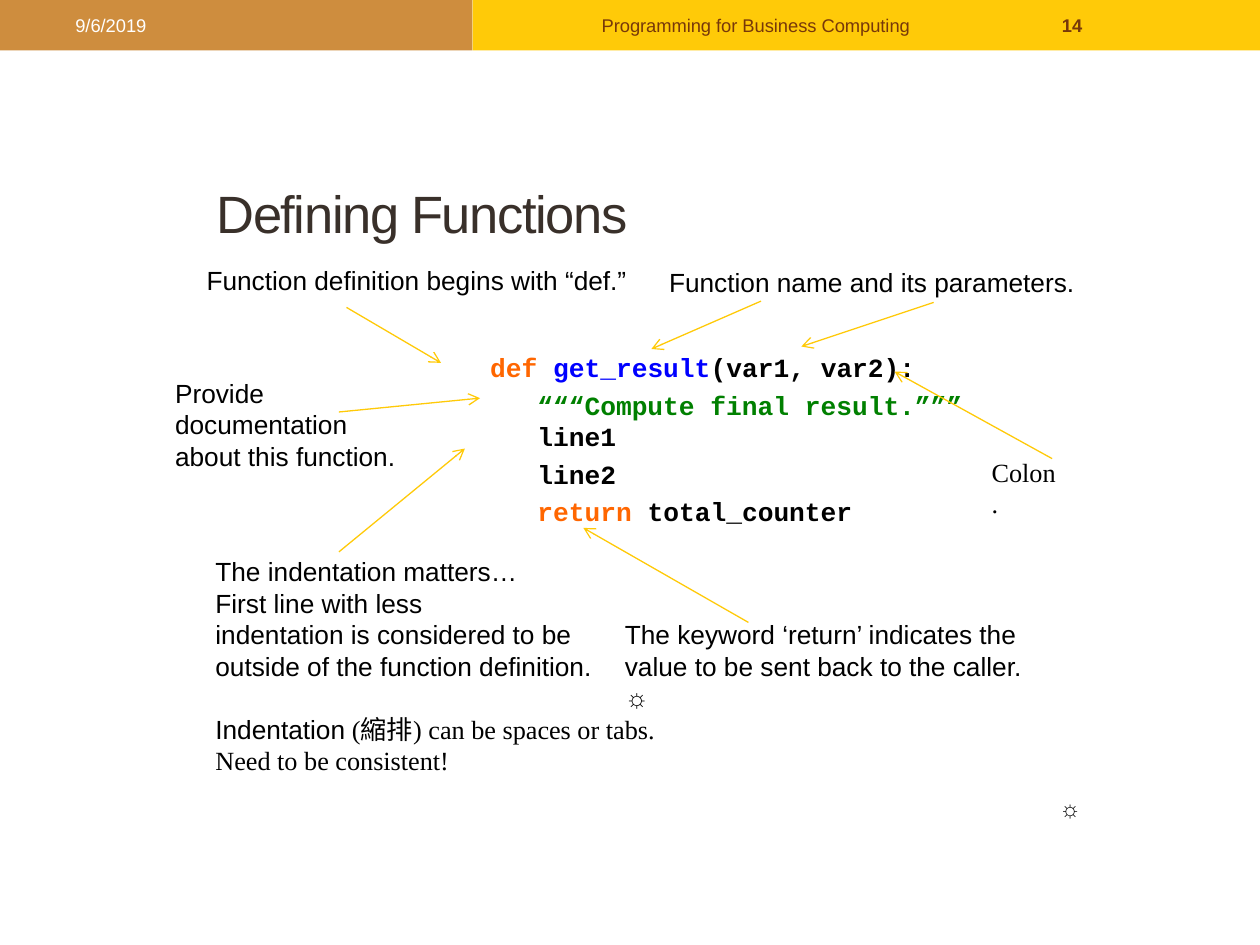
from dataclasses import dataclass

from lxml.etree import SubElement
from pptx import Presentation
from pptx.dml.color import RGBColor
from pptx.enum.shapes import MSO_CONNECTOR, MSO_SHAPE
from pptx.enum.text import MSO_ANCHOR, MSO_AUTO_SIZE, PP_ALIGN
from pptx.oxml.ns import qn
from pptx.util import Inches, Pt


@dataclass(frozen=True)
class Theme:
    gold: str = "FFCA08"
    tan: str = "CE8D3E"
    white: str = "FFFFFF"
    black: str = "000000"
    dark: str = "39302A"
    brown: str = "77380A"
    orange: str = "FF6600"
    blue: str = "0000FF"
    green: str = "008000"
    title: float = 30
    body: float = 15
    mark: float = 13.5
    foot: float = 10.5
    sans: str = "Arial"
    serif: str = "Times New Roman"
    mono: str = "Courier New"


T = Theme()
NOTE = dict(name=T.sans, size=T.body, color=T.black)
SERIF = {**NOTE, "name": T.serif}
MARK = {**SERIF, "bold": True}
FOOT = dict(name=T.sans, size=T.foot, color=T.brown)
CODE = dict(name=T.mono, size=T.body, color=T.black, bold=True)
KEY = {**CODE, "color": T.orange}
TIGHT = dict(margin_left=Inches(0.08), margin_right=Inches(0.08),
             margin_top=Inches(0.04), margin_bottom=Inches(0.04))
GROW = dict(auto_size=MSO_AUTO_SIZE.SHAPE_TO_FIT_TEXT)
MID = dict(vertical_anchor=MSO_ANCHOR.MIDDLE)


def assign(item, values):
    for key, value in values.items():
        setattr(item, key, value)


def style(font, look):
    for key, value in look.items():
        if key == "color":
            font.color.rgb = RGBColor.from_string(value)
        else:
            setattr(font, key, Pt(value) if key == "size" else value)


def indent(para, left, first=0):
    props = para._p.get_or_add_pPr()
    props.set("marL", str(Inches(left)))
    props.set("indent", str(Inches(first)))


def write(para, runs):
    """Fill a paragraph from (text, look) pairs; a newline is a line break."""
    for text, look in runs:
        for i, part in enumerate(text.split("\n")):
            if i:
                para.add_line_break()
            if part:
                run = para.add_run()
                run.text = part
                style(run.font, look)


def add_text(slide, at, paras, frame):
    box = slide.shapes.add_textbox(*map(Inches, at)).text_frame
    assign(box, {"word_wrap": True, **frame})
    for i, runs in enumerate(paras):
        write(box.add_paragraph() if i else box.paragraphs[0], runs)
    return box.paragraphs


def add_note(slide, at, *paras):
    return add_text(slide, at, paras, {**TIGHT, **GROW})


def add_arrow(slide, *ends):
    link = slide.shapes.add_connector(MSO_CONNECTOR.STRAIGHT,
                                      *map(Inches, ends))
    link.line.color.rgb = RGBColor.from_string(T.gold)
    link.line.width = Pt(0.75)
    SubElement(link.line._get_or_add_ln(), qn("a:tailEnd"), type="arrow")
    SubElement(link._element.spPr, qn("a:effectLst"))


def add_band(slide, left, width, color):
    band = slide.shapes.add_shape(MSO_SHAPE.RECTANGLE, Inches(left), 0,
                                  Inches(width), Inches(0.4))
    band.shadow.inherit = False
    band.fill.solid()
    band.fill.fore_color.rgb = RGBColor.from_string(color)
    band.line.fill.background()


def add_header(slide):
    add_band(slide, 0, 3.75, T.tan)
    add_band(slide, 3.75, 6.25, T.gold)
    for left, width, text, look, align in (
        (0.5, 3.17, "9/6/2019", {"color": T.white}, PP_ALIGN.LEFT),
        (3.75, 4.5, "Programming for Business Computing", {}, PP_ALIGN.CENTER),
        (8.33, 1.17, "14", {"bold": True}, PP_ALIGN.LEFT),
    ):
        paras = add_text(slide, (left, 0.02, width, 0.36),
                         [[(text, {**FOOT, **look})]], MID)
        paras[0].alignment = align


def add_title(slide):
    look = dict(name=T.sans, size=T.title, color=T.dark)
    para = add_text(slide, (1.62, 1.28, 6.75, 0.81),
                    [[("Defining Functions", look)]], MID)[0]
    para.runs[0].font._element.set("spc", "-80")


def add_code(slide):
    lines = [
        [("def ", KEY), ("get_result", {**CODE, "color": T.blue}),
         ("(var1, var2):", CODE)],
        [("\t ", CODE),
         ("“““Compute final result.”””\n", {**CODE, "color": T.green}),
         (" line1", CODE)],
        [("\t line2", CODE)],
        [("\t ", CODE), ("return ", KEY), ("total_counter", CODE)],
    ]
    for para in add_text(slide, (2.81, 2.75, 5.31, 1.12), lines, TIGHT):
        assign(para, dict(level=2, space_before=Pt(3.4)))
        indent(para, 1.25, -0.25)


def add_notes(slide):
    paras = add_note(
        slide, (1.63, 4.37, 3.73, 2.1),
        [("The indentation matters…", NOTE)],
        [("First line with less \nindentation is considered to be\n"
          "outside of the function definition.", NOTE)],
        [("Indentation", NOTE),
         (" (縮排) can be spaces or tabs. \nNeed to be consistent!", SERIF)])
    paras[-1].space_before = Pt(18)
    add_note(slide, (1.56, 2.06, 3.6, 0.33),
             [("Function definition begins with “def.”", NOTE)])
    add_note(slide, (5.23, 2.07, 3.41, 0.33),
             [("Function name and its parameters.", NOTE)])
    add_note(slide, (4.88, 4.87, 3.5, 0.58),
             [("The keyword ‘return’ indicates the \n"
               "value to be sent back to the caller. ", NOTE), ("☼", MARK)])
    colon = add_note(slide, (7.29, 3.58, 1.22, 0.33), [("Colon.", SERIF)])
    indent(colon[0], 0.5)
    add_note(slide, (1.31, 2.95, 1.94, 0.83),
             [("Provide documentation about this function.", NOTE)])
    add_text(slide, (8.31, 6.25, 0.36, 0.33),
             [[("☼", {**MARK, "size": T.mark})]], GROW)


def main():
    deck = Presentation()
    assign(deck, dict(slide_width=Inches(10), slide_height=Inches(7.5)))
    slide = deck.slides.add_slide(deck.slide_layouts[6])
    add_header(slide)
    add_title(slide)
    add_code(slide)
    add_notes(slide)
    for ends in (
        (2.69, 4.38, 3.69, 3.56),
        (2.75, 2.44, 3.5, 2.88),
        (6.04, 2.39, 5.17, 2.77),
        (7.41, 2.4, 6.36, 2.75),
        (5.94, 4.94, 4.63, 4.19),
        (8.35, 3.64, 7.1, 2.95),
        (2.69, 3.27, 3.81, 3.16),
    ):
        add_arrow(slide, *ends)
    deck.save("out.pptx")


if __name__ == "__main__":
    main()
